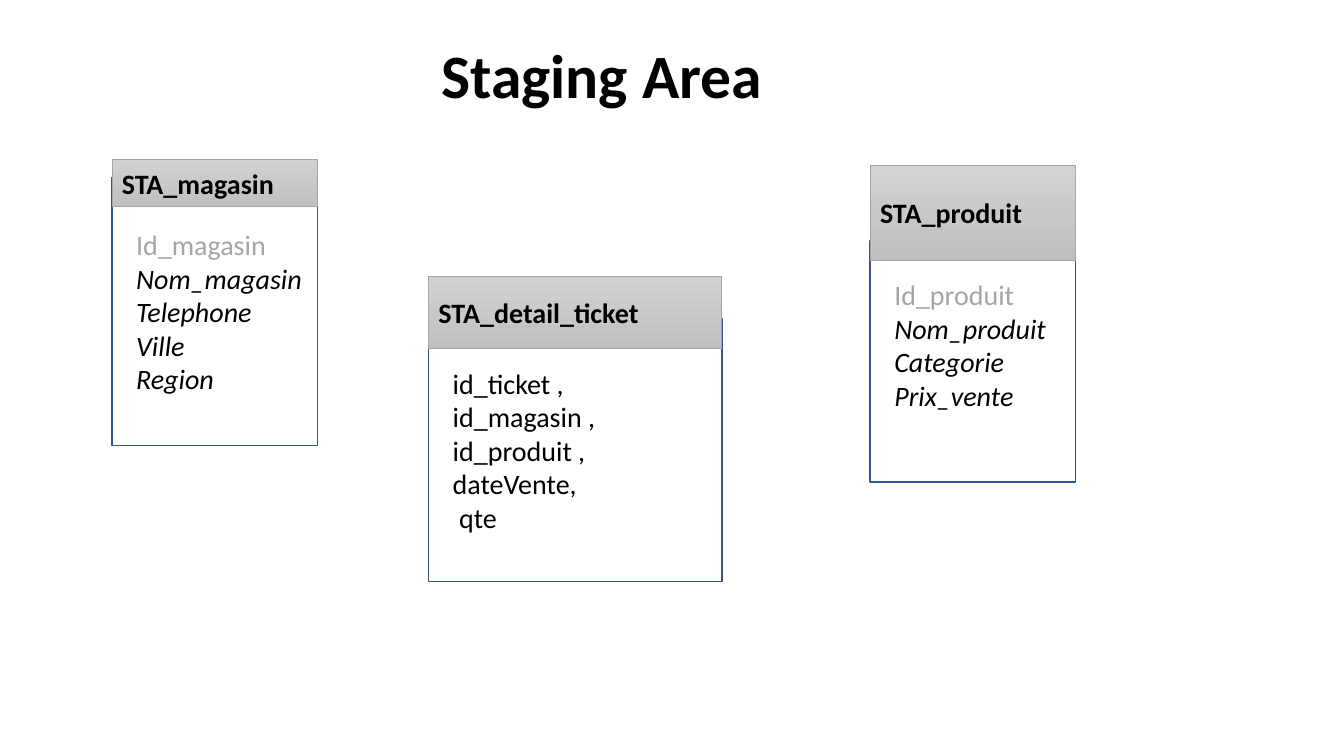
from pptx import Presentation
from pptx.dml.color import RGBColor
from pptx.enum.shapes import MSO_SHAPE
from pptx.enum.text import MSO_ANCHOR, PP_ALIGN
from pptx.util import Pt

RECT = MSO_SHAPE.RECTANGLE
MIDDLE = MSO_ANCHOR.MIDDLE
LEFT, CENTER = PP_ALIGN.LEFT, PP_ALIGN.CENTER

PX = 9144
FONT = "Calibri"
COLORS = {
    "text": "000000",
    "key": "A5A5A5",
    "body": "FFFFFF",
    "body_line": "325491",
    "head_top": "D2D2D2",
    "head_bottom": "C0C0C0",
    "head_line": "A5A5A5",
}

TITLE = "Staging Area"
TITLE_BOX = (22, 5, 1150, 145)
ENTITIES = [
    {
        "name": "STA_magasin",
        "head": (111, 158, 204, 47),
        "body": (111, 176, 204, 266),
        "key": "Id_magasin",
        "fields": ["Nom_magasin", "Telephone", "Ville", "Region"],
        "italic": True,
        "bottom": 5,
    },
    {
        "name": "STA_produit",
        "head": (863, 164, 204, 94),
        "body": (863, 239, 204, 239),
        "key": "Id_produit",
        "fields": ["Nom_produit", "Categorie", "Prix_vente"],
        "italic": True,
        "bottom": 38,
    },
    {
        "name": "STA_detail_ticket",
        "head": (425, 274, 291, 72),
        "body": (425, 316, 291, 261),
        "key": None,
        "fields": ["id_ticket ,", "id_magasin , id_produit , dateVente,", " qte"],
        "italic": False,
        "bottom": 5,
    },
]


def rgb(name):
    return RGBColor.from_string(COLORS[name])


def px(box):
    return [v * PX for v in box]


def style(p, size, color, bold=False, italic=False, align=LEFT):
    p.alignment = align
    p.font.name = FONT
    p.font.size = Pt(size)
    p.font.bold = bold
    p.font.italic = italic
    p.font.color.rgb = rgb(color)


def add_box(shapes, box, line, width, margins):
    sp = shapes.add_shape(RECT, *px(box))
    sp.shadow.inherit = False
    sp.line.color.rgb = rgb(line)
    sp.line.width = Pt(width)
    tf = sp.text_frame
    tf.word_wrap = True
    tf.vertical_anchor = MIDDLE
    tf.margin_left, tf.margin_top, tf.margin_right, tf.margin_bottom = px(margins)
    return sp


def add_entity(slide, entity):
    shapes = slide.shapes.add_group_shape().shapes

    body = add_box(shapes, entity["body"], "body_line", 1, (24, 5, 10, entity["bottom"]))
    body.fill.solid()
    body.fill.fore_color.rgb = rgb("body")
    rows = [(field, "text", entity["italic"]) for field in entity["fields"]]
    if entity["key"]:
        rows.insert(0, (entity["key"], "key", False))
    tf = body.text_frame
    for i, (text, color, italic) in enumerate(rows):
        p = tf.add_paragraph() if i else tf.paragraphs[0]
        p.text = text
        style(p, 20, color, italic=italic)

    head = add_box(shapes, entity["head"], "head_line", 0.5, (10, 5, 10, 5))
    head.fill.gradient()
    head.fill.gradient_angle = 270
    for stop, position, color in zip(head.fill.gradient_stops, (0, 1), ("head_top", "head_bottom")):
        stop.position = position
        stop.color.rgb = rgb(color)
    p = head.text_frame.paragraphs[0]
    p.text = entity["name"]
    style(p, 20, "text", bold=True)


def main():
    prs = Presentation()
    prs.slide_width, prs.slide_height = px((1333, 750))
    slide = prs.slides.add_slide(prs.slide_layouts[5])

    title = slide.shapes.title
    title.left, title.top, title.width, title.height = px(TITLE_BOX)
    tf = title.text_frame
    tf.text = TITLE
    tf.vertical_anchor = MIDDLE
    p = tf.paragraphs[0]
    p.line_spacing = 0.9
    style(p, 44, "text", bold=True, align=CENTER)

    for entity in ENTITIES:
        add_entity(slide, entity)
    prs.save("out.pptx")


if __name__ == "__main__":
    main()
